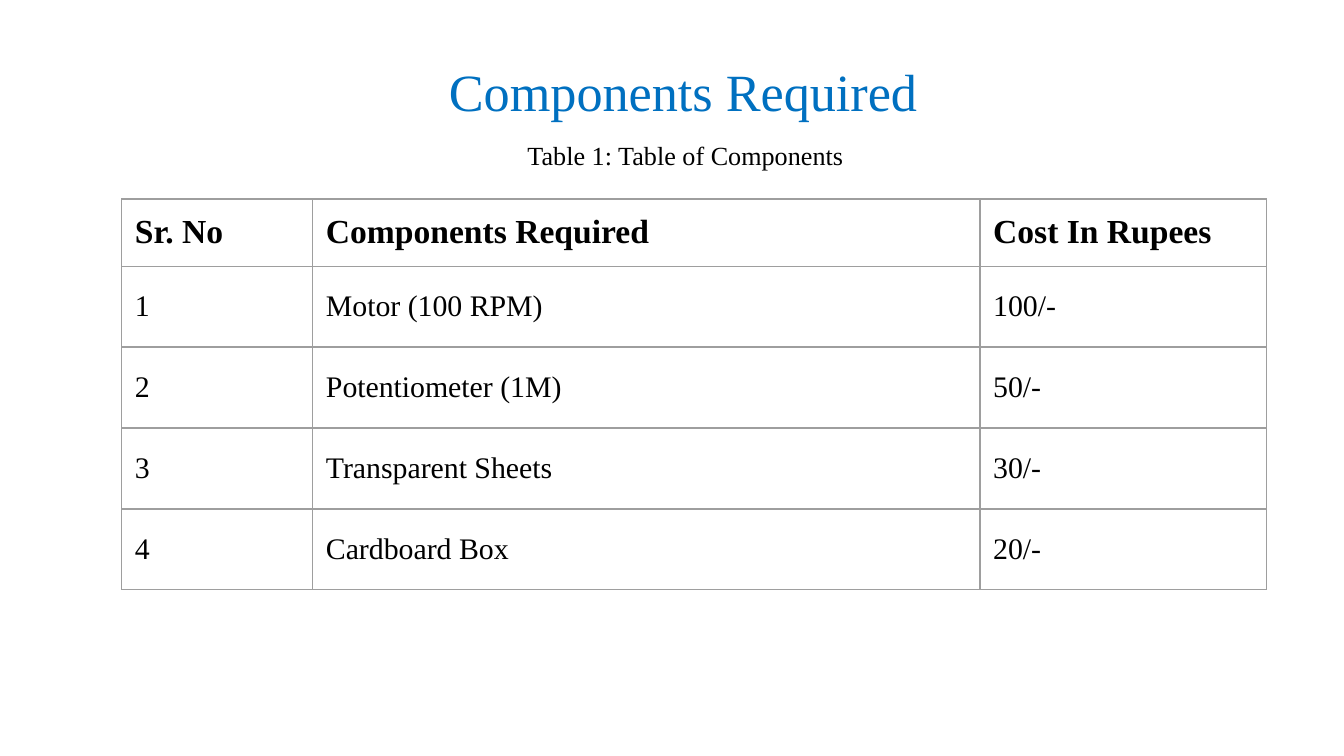
from lxml.etree import SubElement
from pptx import Presentation
from pptx.dml.color import RGBColor
from pptx.enum.text import MSO_ANCHOR as ANCHOR, PP_ALIGN as ALIGN
from pptx.oxml.ns import qn
from pptx.util import Cm, Pt

TITLE = "Components Required"
CAPTION = "Table 1: Table of Components"
ROWS = [
    ("Sr. No", "Components Required", "Cost In Rupees"),
    ("1", "Motor (100 RPM)", "100/-"),
    ("2", "Potentiometer (1M)", "50/-"),
    ("3", "Transparent Sheets", "30/-"),
    ("4", "Cardboard Box", "20/-"),
]
COL_WIDTHS = [3.61, 12.61, 5.41]
ROW_HEIGHTS = [1.27] + [1.53] * (len(ROWS) - 1)
FONT, BLUE, BLACK, GREY = "Times New Roman", "0070C0", "000000", "9E9E9E"
INSET = Cm(0.25)


def style(tf, size, color, bold=False):
    for p in tf.paragraphs:
        for r in p.runs:
            r.font.name = FONT
            r.font.size = Pt(size)
            r.font.bold = bold
            r.font.color.rgb = RGBColor.from_string(color)


def set_margins(item, left, top, right, bottom):
    item.margin_left, item.margin_top = left, top
    item.margin_right, item.margin_bottom = right, bottom


def add_borders(cell):
    tcPr = cell._tc.get_or_add_tcPr()
    for side in ("a:lnL", "a:lnR", "a:lnT", "a:lnB"):
        ln = SubElement(tcPr, qn(side), w=str(Pt(0.75)))
        fill = SubElement(ln, qn("a:solidFill"))
        SubElement(fill, qn("a:srgbClr"), val=GREY)


def add_title(slide):
    sp = slide.shapes.title
    sp.left, sp.top, sp.width, sp.height = Cm(3.63), Cm(0.79), Cm(18.31), Cm(1.85)
    tf = sp.text_frame
    tf.text = TITLE
    tf.vertical_anchor = ANCHOR.MIDDLE
    set_margins(tf, INSET, 0, 0, 0)
    tf.paragraphs[0].alignment = ALIGN.CENTER
    style(tf, 28, BLUE)


def add_caption(slide):
    sp = slide.shapes.add_textbox(Cm(9.72), Cm(2.39), Cm(8.33), Cm(1.12))
    tf = sp.text_frame
    tf.word_wrap = True
    tf.text = CAPTION
    set_margins(tf, *[INSET] * 4)
    style(tf, 14, BLACK)


def add_components(slide):
    frame = slide.shapes.add_table(
        len(ROWS), len(COL_WIDTHS), Cm(2.3), Cm(3.76),
        Cm(sum(COL_WIDTHS)), Cm(sum(ROW_HEIGHTS)))
    table = frame.table
    table.horz_banding = False
    for column, width in zip(table.columns, COL_WIDTHS):
        column.width = Cm(width)
    for i, (row, height) in enumerate(zip(table.rows, ROW_HEIGHTS)):
        row.height = Cm(height)
        for cell, text in zip(row.cells, ROWS[i]):
            cell.text_frame.text = text
            cell.vertical_anchor = ANCHOR.MIDDLE
            set_margins(cell, *[INSET] * 4)
            add_borders(cell)
            cell.fill.background()
            style(cell.text_frame, 16 if i else 18, BLACK, bold=i == 0)


def main():
    prs = Presentation()
    prs.slide_width, prs.slide_height = Cm(25.4), Cm(14.29)
    slide = prs.slides.add_slide(prs.slide_layouts[5])
    add_title(slide)
    add_components(slide)
    add_caption(slide)
    prs.save("out.pptx")


if __name__ == "__main__":
    main()
